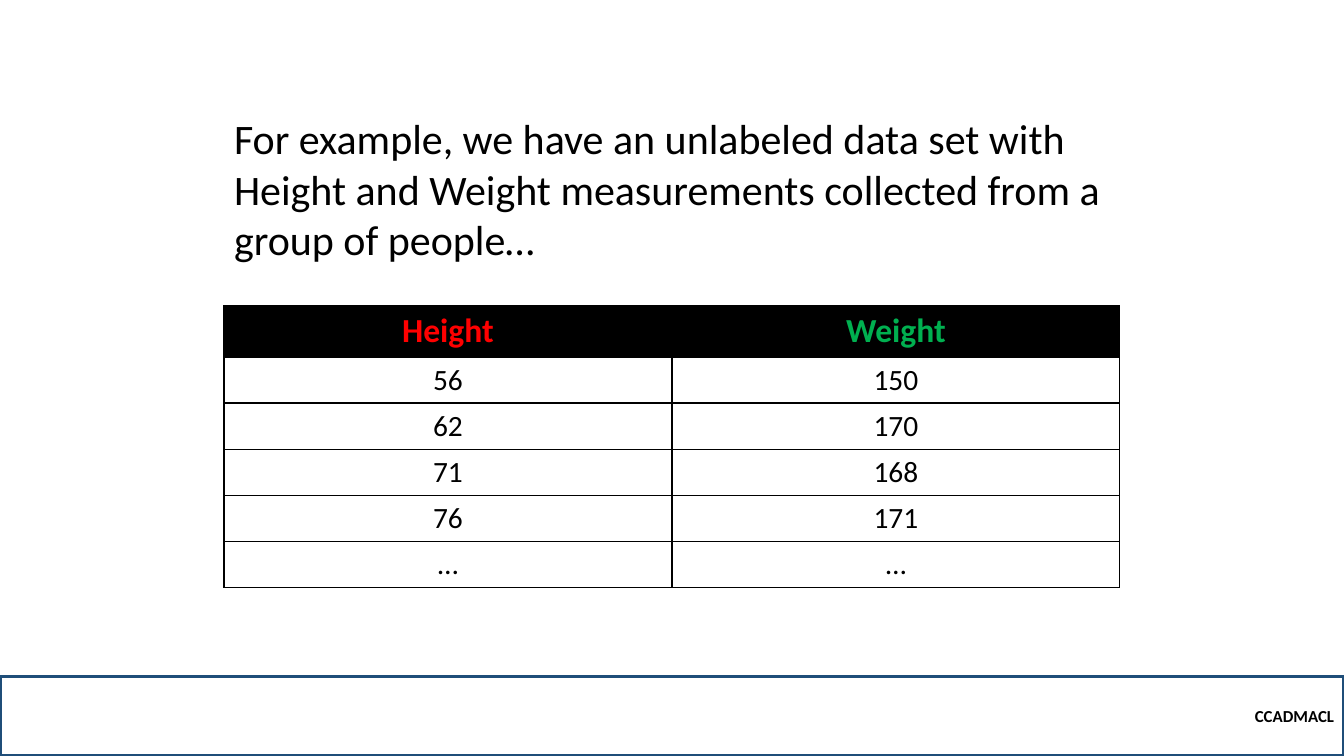
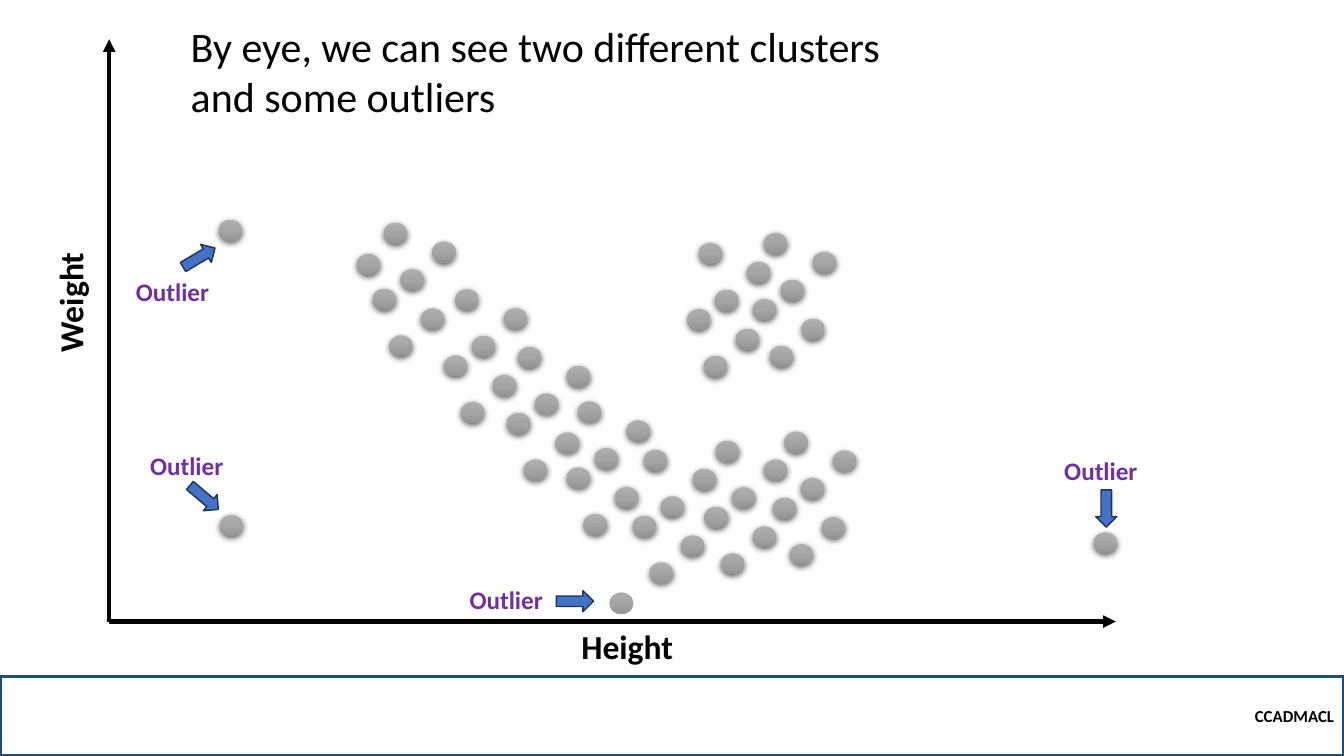
from collections import namedtuple
from dataclasses import dataclass

from lxml import etree
from pptx import Presentation
from pptx.dml.color import RGBColor
from pptx.enum import shapes, text
from pptx.oxml.ns import qn
from pptx.util import Pt

Box = namedtuple("Box", "left top width height")


@dataclass(frozen=True)
class Theme:
    font: str = "Calibri"
    ink: str = "000000"
    band: str = "1F4E79"
    height: str = "FF0000"
    weight: str = "00B050"
    outlier: str = "7030A0"
    arrow: str = "4472C4"
    arrow_edge: str = "1E3256"
    dot_edge: str = "A5A5A5"
    dot_shades: tuple = ((0, "AFAFAF"), (50, "A5A5A5"), (100, "939393"))
    title_size: float = 30
    heading_size: float = 24
    cell_size: float = 21
    label_size: float = 18
    footer_size: float = 12


THEME = Theme()
SLIDE = Box(0, 0, 960, 540)
FOOTER = Box(0, 483, 960, 57)
LEFT, CENTER, RIGHT = (text.PP_ALIGN.LEFT, text.PP_ALIGN.CENTER, text.PP_ALIGN.RIGHT)
TOP, MIDDLE = text.MSO_ANCHOR.TOP, text.MSO_ANCHOR.MIDDLE

MEASUREMENTS = [("56", "150"), ("62", "170"), ("71", "168"), ("76", "171"), ("…", "…")]

DOT = (16.6, 15.1)
ARROW = (26.6, 15.1)
SWARM = [(0, 0), (11.9, 33.3), (34.7, 13.5), (-8, 47.2), (4, 80.5), (26.6, 61.2)]
SWARM_ORIGINS = [
    (421, 145.6), (467.8, 138.4),
    (382, 293.2), (433.2, 286.7), (482.3, 280.2),
    (196.2, 131), (247.3, 178.6), (292.2, 219.7), (334.8, 258.7),
]
EDGE_DOT = (176.9, 153.4)
OUTLIERS = [
    dict(dot=(78.2, 129), label=(12, 165.7), arrow=(50.9, 148.4), angle=329.3),
    dict(dot=(79, 339.9), label=(22.1, 290.2), arrow=(54.5, 319.8), angle=40.1),
    dict(dot=(703.2, 352.2), label=(675.1, 293.8), arrow=(698.9, 327.7), angle=90),
    dict(dot=(357.6, 395.4), label=(250.3, 386), arrow=(319.4, 393.9), angle=0,
         outlined=True),
]


def rgb(color):
    return RGBColor.from_string(color)


def points(values):
    return [Pt(value) for value in values]


def add_xml(parent, tag, **attributes):
    return etree.SubElement(parent, qn(tag), attributes)


def write(frame, words, size=THEME.label_size, color=THEME.ink, bold=False,
          align=LEFT, anchor=TOP):
    frame.word_wrap = True
    frame.vertical_anchor = anchor
    paragraph = frame.paragraphs[0]
    paragraph.alignment = align
    run = paragraph.add_run()
    run.text = words
    run.font.name = THEME.font
    run.font.size = Pt(size)
    run.font.bold = bold
    run.font.color.rgb = rgb(color)


def add_label(slide, words, box, angle=0, **style):
    label = slide.shapes.add_textbox(*points(box))
    label.rotation = angle
    write(label.text_frame, words, bold=True, **style)


def add_plain_shape(slide, kind, box, fill=None, edge=None, edge_width=1):
    shape = slide.shapes.add_shape(kind, *points(box))
    shape.shadow.inherit = False
    if fill:
        shape.fill.solid()
        shape.fill.fore_color.rgb = rgb(fill)
    else:
        shape.fill.background()
    if edge:
        shape.line.color.rgb = rgb(edge)
        shape.line.width = Pt(edge_width)
    else:
        shape.line.fill.background()
    return shape


def add_page(deck, title, box):
    slide = deck.slides.add_slide(deck.slide_layouts[5])
    heading = slide.shapes.title
    heading.left, heading.top, heading.width, heading.height = points(box)
    write(heading.text_frame, title, size=THEME.title_size)
    heading.text_frame.auto_size = text.MSO_AUTO_SIZE.NONE
    footer = add_plain_shape(slide, shapes.MSO_SHAPE.RECTANGLE, FOOTER,
                             edge=THEME.band, edge_width=2.25)
    write(footer.text_frame, "CCADMACL", size=THEME.footer_size, bold=True,
          align=RIGHT, anchor=MIDDLE)
    return slide


def add_cell_borders(cell):
    properties = cell._tc.get_or_add_tcPr()
    for side in ("a:lnL", "a:lnR", "a:lnT", "a:lnB"):
        border = add_xml(properties, side, w=str(Pt(1)))
        add_xml(add_xml(border, "a:solidFill"), "a:srgbClr", val=THEME.ink)


def add_measurements(slide, box, header_height=36.5):
    rows = [("Height", "Weight"), *MEASUREMENTS]
    grid = slide.shapes.add_table(len(rows), 2, *points(box)).table
    grid.horz_banding = False
    row_height = (box.height - header_height) / len(MEASUREMENTS)
    for row, values in enumerate(rows):
        is_header = row == 0
        grid.rows[row].height = Pt(header_height if is_header else row_height)
        for column, value in enumerate(values):
            cell = grid.cell(row, column)
            add_cell_borders(cell)
            if is_header:
                cell.fill.solid()
                cell.fill.fore_color.rgb = rgb(THEME.ink)
                write(cell.text_frame, value, size=THEME.heading_size, bold=True,
                      color=(THEME.height, THEME.weight)[column], align=CENTER)
            else:
                cell.fill.background()
                write(cell.text_frame, value, size=THEME.cell_size, align=CENTER)


def add_axis(slide, start, end):
    axis = slide.shapes.add_connector(shapes.MSO_CONNECTOR.STRAIGHT,
                                      *points(start + end))
    axis.line.color.rgb = rgb(THEME.ink)
    axis.line.width = Pt(3)
    add_xml(axis.line._get_or_add_ln(), "a:tailEnd", type="triangle")
    add_xml(axis._element.spPr, "a:effectLst")


def add_dot(slide, left, top, outlined=False):
    dot = add_plain_shape(slide, shapes.MSO_SHAPE.OVAL, (left, top, *DOT),
                          edge=THEME.dot_edge if outlined else None, edge_width=0.5)
    dot.fill.gradient()
    dot.fill.gradient_angle = 270
    properties = dot._element.spPr
    stops = properties.find(".//" + qn("a:gsLst"))
    for stop in list(stops):
        stops.remove(stop)
    for percent, shade in THEME.dot_shades:
        stop = add_xml(stops, "a:gs", pos=str(percent * 1000))
        add_xml(stop, "a:srgbClr", val=shade)
    if not outlined:
        shadow = add_xml(properties.find(qn("a:effectLst")), "a:outerShdw",
                         blurRad=str(Pt(4.5)), dist=str(Pt(1.5)), dir="5400000",
                         algn="ctr", rotWithShape="0")
        add_xml(add_xml(shadow, "a:srgbClr", val=THEME.ink), "a:alpha", val="63000")


def add_scatter(slide, box):
    def place(offset):
        return box.left + offset[0], box.top + offset[1]

    origin = place((0, box.height))
    add_axis(slide, origin, place((box.width, box.height)))
    add_axis(slide, origin, place((0, 0)))
    axis_style = dict(size=THEME.heading_size, align=CENTER)
    add_label(slide, "Height", (*place((320, 415.5)), 100, 36), **axis_style)
    add_label(slide, "Weight", (*place((-78, 170)), 100, 36), angle=270, **axis_style)

    for x, y in SWARM_ORIGINS:
        for dx, dy in SWARM:
            add_dot(slide, *place((x + dx, y + dy)))
    add_dot(slide, *place(EDGE_DOT))

    for outlier in OUTLIERS:
        add_dot(slide, *place(outlier["dot"]), outlined=outlier.get("outlined", False))
        add_label(slide, "Outlier", (*place(outlier["label"]), 72, 29),
                  color=THEME.outlier)
        arrow = add_plain_shape(slide, shapes.MSO_SHAPE.RIGHT_ARROW,
                                (*place(outlier["arrow"]), *ARROW),
                                fill=THEME.arrow, edge=THEME.arrow_edge)
        arrow.rotation = outlier["angle"]


def main():
    deck = Presentation()
    deck.slide_width, deck.slide_height = Pt(SLIDE.width), Pt(SLIDE.height)

    data_page = add_page(
        deck,
        "For example, we have an unlabeled data set with Height and Weight "
        "measurements collected from a group of people…",
        Box(160, 77, 640, 117))
    add_measurements(data_page, Box(160, 218.5, 640, 201))

    cluster_page = add_page(
        deck, "By eye, we can see two different clusters and some outliers",
        Box(129, 11, 544, 80))
    add_scatter(cluster_page, Box(78, 28, 719, 416))

    deck.save("out.pptx")


if __name__ == "__main__":
    main()
